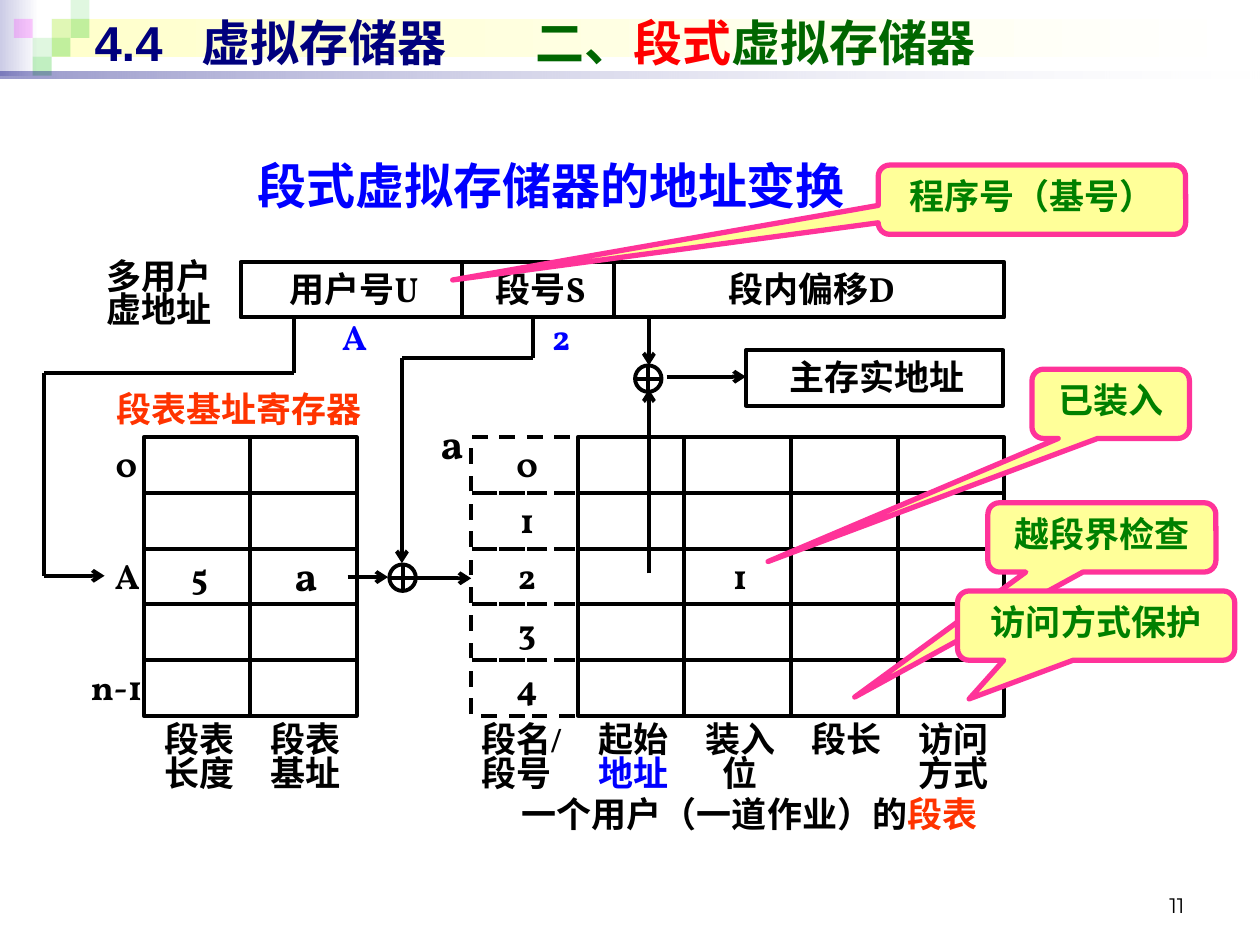
from lxml.etree import SubElement
from pptx import Presentation
from pptx.dml.color import RGBColor
from pptx.enum.dml import MSO_LINE
from pptx.enum.lang import MSO_LANGUAGE_ID
from pptx.enum.shapes import MSO_CONNECTOR, MSO_SHAPE
from pptx.enum.text import MSO_ANCHOR, PP_ALIGN
from pptx.oxml.ns import qn
from pptx.util import Inches, Pt

BLACK, BLUE, ORANGE, GREEN = "000000", "0000FF", "FF3300", "006600"
TOP, MIDDLE, BOTTOM = MSO_ANCHOR.TOP, MSO_ANCHOR.MIDDLE, MSO_ANCHOR.BOTTOM
LEFT, CENTER, RIGHT = PP_ALIGN.LEFT, PP_ALIGN.CENTER, PP_ALIGN.RIGHT
LABEL_INSETS = (0.08, 0.04, 0.04, 0)
BOX_INSETS = (0.1, 0.05, 0.1, 0.05)
ROWS = 5
TABLE_TOP, ROW_HEIGHT = 3.47, (5.68 - 3.47) / ROWS
REGISTER_LEFT, SEGMENT_LEFT = 1.14, 3.74
COLUMN_WIDTH = (7.97 - 3.74) / 5


def rgb(hex_color):
    """Turn a hex string into a colour."""
    return RGBColor.from_string(hex_color)


def write(shape, content, size=20, font="Vollkorn", color=BLACK, bold=True, align=CENTER,
          anchor=MIDDLE, spacing=0.8, insets=LABEL_INSETS, wrap=False):
    """Fill a shape with text: a string, or paragraphs of (text, colour) runs."""
    frame = shape.text_frame
    frame.word_wrap, frame.vertical_anchor = wrap, anchor
    (frame.margin_left, frame.margin_top,
     frame.margin_right, frame.margin_bottom) = map(Inches, insets)
    paragraphs = [[(content, color)]] if isinstance(content, str) else content
    for index, runs in enumerate(paragraphs):
        paragraph = frame.add_paragraph() if index else frame.paragraphs[0]
        paragraph.alignment, paragraph.line_spacing = align, spacing
        for text, run_color in runs:
            for number, part in enumerate(text.split("\n")):
                if number:
                    paragraph.add_line_break()
                run = paragraph.add_run()
                run.text = part
                run.font.size, run.font.name, run.font.bold = Pt(size), font, bold
                run.font.color.rgb = rgb(run_color)
                run.font.language_id = MSO_LANGUAGE_ID.SIMPLIFIED_CHINESE


def add_label(slide, box, content, **text_format):
    """Add free text."""
    write(slide.shapes.add_textbox(*map(Inches, box)), content, **text_format)


def add_block(slide, box, kind=MSO_SHAPE.RECTANGLE, content=None, fill=None, line=BLACK,
              width=2.25, dashed=False, **text_format):
    """Add an outlined preset shape, with text if there is any."""
    block = slide.shapes.add_shape(kind, *map(Inches, box))
    block.shadow.inherit = False
    if fill:
        block.fill.solid()
        block.fill.fore_color.rgb = rgb(fill)
    else:
        block.fill.background()
    if line:
        block.line.color.rgb, block.line.width = rgb(line), Pt(width)
        if dashed:
            block.line.dash_style = MSO_LINE.DASH
    else:
        block.line.fill.background()
    if content:
        write(block, content, **text_format)
    return block


def add_tint(slide, box, color, opacity):
    """Add a translucent square of the header pattern."""
    tint = add_block(slide, box, fill=color, line=None)
    for node in tint.element.iter(qn("a:srgbClr")):
        SubElement(node, qn("a:alpha")).set("val", str(opacity * 1000))


def add_fade(slide, box, color, opacities=(100, 100)):
    """Add a band that fades from a colour to white, left to right."""
    band = add_block(slide, box, line=None)
    band.fill.gradient()
    band.fill.gradient_angle = 0
    for stop, position, shade in zip(band.fill.gradient_stops, (0, 1), (color, "FFFFFF")):
        stop.position, stop.color.rgb = position, rgb(shade)
    for node, opacity in zip(band.element.iter(qn("a:srgbClr")), opacities):
        if opacity < 100:
            SubElement(node, qn("a:alpha")).set("val", str(opacity * 1000))


def add_route(slide, *points, arrow=True):
    """Join points with straight lines, with an arrowhead at the end."""
    for start, end in zip(points, points[1:]):
        wire = slide.shapes.add_connector(MSO_CONNECTOR.STRAIGHT, *map(Inches, start + end))
        wire.line.color.rgb, wire.line.width = rgb(BLACK), Pt(2.25)
        if arrow and end == points[-1]:
            SubElement(wire.line._get_or_add_ln(), qn("a:tailEnd")).set("type", "arrow")
        SubElement(wire.element.spPr, qn("a:effectLst"))


def add_callout(slide, box, content, tip_x, tip_y):
    """Add a yellow callout whose tip is given relative to its size."""
    callout = add_block(slide, box, MSO_SHAPE.ROUNDED_RECTANGULAR_CALLOUT, content,
                        fill="FFFF99", line="FF3399", width=3, font="Arial", color="008000",
                        anchor=TOP, spacing=1, insets=BOX_INSETS, wrap=True)
    for index, value in enumerate((tip_x, tip_y, 0.167)):
        callout.adjustments[index] = value


def add_header(slide):
    """Draw the header pattern and the title above it."""
    add_fade(slide, (0, 0, 0.31, 0.6), "CCCCE6")
    add_fade(slide, (0.41, 0.15, 9.55, 0.3), "FFFFCC")
    for left, top, color, opacity in (
            (0.41, 0.15, "33CC33", 15), (0.56, 0, "33CC33", 15), (0.56, 0.15, "33CC33", 30),
            (0.26, 0.3, "33CC33", 15), (0.11, 0.15, "FF00FF", 20), (0.41, 0.3, "33CC33", 30),
            (0.26, 0.45, "33CC33", 30)):
        add_tint(slide, (left, top, 0.15, 0.15), color, opacity)
    add_fade(slide, (0, 0.57, 10, 0.05), "00007D", (40, 10))

    title = slide.shapes.title
    title.left, title.top, title.width, title.height = map(Inches, (0.65, 0.05, 9, 0.57))
    write(title, [[("4.4\t虚拟存储器\t", "00007D"), ("二、", GREEN), ("段式", "FF0000"),
                   ("虚拟存储器", GREEN)]],
          size=28, font="Arial", align=LEFT, spacing=1, insets=BOX_INSETS, wrap=True)
    properties = title.text_frame.paragraphs[0]._p.get_or_add_pPr()
    tabs = SubElement(properties, qn("a:tabLst"))
    for position in (0.85, 3.5):
        SubElement(tabs, qn("a:tab"), pos=str(Inches(position)), algn="l")
    title.element.getparent().append(title.element)


def add_grid(slide, left, columns, texts, dashed=False):
    """Draw table cells from the bottom row up; texts maps (row, column) to (text, size)."""
    for row in reversed(range(ROWS)):
        for column in range(columns):
            content, size = texts.get((row, column), (None, 20))
            box = (left + column * COLUMN_WIDTH, TABLE_TOP + row * ROW_HEIGHT,
                   COLUMN_WIDTH, ROW_HEIGHT)
            add_block(slide, box, content=content, size=size, dashed=dashed)


def add_column_names(slide, left, names):
    """Write the names below the columns of a table."""
    for column, name in enumerate(names):
        slash = "/" in name
        add_label(slide, (left + column * COLUMN_WIDTH, 5.72, COLUMN_WIDTH, 0.69), name,
                  anchor=TOP, align=LEFT if slash else CENTER,
                  font="Times New Roman" if slash else "Vollkorn")


def add_tables(slide):
    """Draw the base register table and the segment table with their labels."""
    add_grid(slide, REGISTER_LEFT, 2, {(2, 0): ("5", 20), (2, 1): ("a", 24)})
    add_column_names(slide, REGISTER_LEFT, ("段表\n长度", "段表\n基址"))
    for row, name, right in ((0, "0", 1.13), (2, "A", 1.15), (4, "n-1", 1.17)):
        add_label(slide, (right - 0.7, TABLE_TOP + row * ROW_HEIGHT, 0.7, ROW_HEIGHT),
                  name, align=RIGHT)
    add_label(slide, (0.51, 3.06, 2.74, 0.38), "段表基址寄存器", color=ORANGE)

    add_grid(slide, SEGMENT_LEFT + COLUMN_WIDTH, 4, {(2, 1): ("1", 20)})
    add_grid(slide, SEGMENT_LEFT, 1, {(row, 0): (str(row), 20) for row in range(ROWS)},
             dashed=True)
    add_column_names(slide, SEGMENT_LEFT, (
        "段名/\n段号", [[("起始", BLACK)], [("地址", BLUE)]], "装入\n位", "段长", "访问\n方式"))
    add_label(slide, (3.02, 3.31, 0.7, 0.44), "a", size=24, align=RIGHT)
    add_label(slide, (3.5, 6.28, 4.86, 0.38),
              [[("一个用户（一道作业）的", BLACK), ("段表", ORANGE)]])


def add_address_path(slide):
    """Draw the virtual address, the adders and the routes between the parts."""
    add_label(slide, (0.64, 1.95, 1.2, 0.76), "多用户\n虚地址")
    for left, width, field in ((1.91, 1.76, "用户号U"), (3.67, 1.2, "段号S"),
                               (4.87, 3.1, "段内偏移D")):
        add_block(slide, (left, 2.08, width, 0.44), content=field)
    add_block(slide, (5.92, 2.78, 2.04, 0.44), content="主存实地址")
    for left, top in ((3.09, 4.48), (5.04, 2.9)):
        add_block(slide, (left, top, 0.21, 0.21), MSO_SHAPE.FLOWCHART_OR)
    add_route(slide, (2.33, 2.52), (2.33, 2.96), (0.35, 2.96), (0.35, 4.57), (0.83, 4.57))
    add_route(slide, (4.23, 2.52), (4.23, 2.84), (3.19, 2.84), (3.19, 4.47))
    for start, end in (((2.76, 4.58), (3.08, 4.58)), ((3.31, 4.59), (3.74, 4.59)),
                       ((5.15, 4.55), (5.15, 3.09)), ((5.15, 2.52), (5.15, 2.9)),
                       ((5.29, 2.99), (5.92, 2.99))):
        add_route(slide, start, end)
    for left, value in ((2.57, "A"), (4.21, "2")):
        add_label(slide, (left, 2.46, 0.45, 0.44), value, color=BLUE)


def main():
    """Build and save the slide."""
    deck = Presentation()
    deck.slide_width, deck.slide_height = Inches(10), Inches(7.5)
    slide = deck.slides.add_slide(deck.slide_layouts[5])
    add_header(slide)
    add_label(slide, (7.17, 6.83, 2.33, 0.5), "11", size=12, font="Montserrat", bold=False,
              align=RIGHT, anchor=BOTTOM, spacing=1, insets=BOX_INSETS, wrap=True)
    add_tables(slide)
    add_address_path(slide)
    add_label(slide, (1.54, 1.15, 5.67, 0.63), "段式虚拟存储器的地址变换", size=28,
              font="Arial", color=BLUE, spacing=1, insets=BOX_INSETS, wrap=True)
    add_callout(slide, (7.84, 3.99, 1.81, 0.55), "越段界检查", -1.084, 2.304)
    add_callout(slide, (7.6, 4.69, 2.2, 0.55), "访问方式保护", -0.458, 1.058)
    add_callout(slide, (6.97, 1.31, 2.44, 0.55), "程序号（基号）", -1.884, 1.159)
    add_callout(slide, (8.19, 2.93, 1.25, 0.55), "已装入", -2.176, 2.276)
    deck.save("out.pptx")


main()
